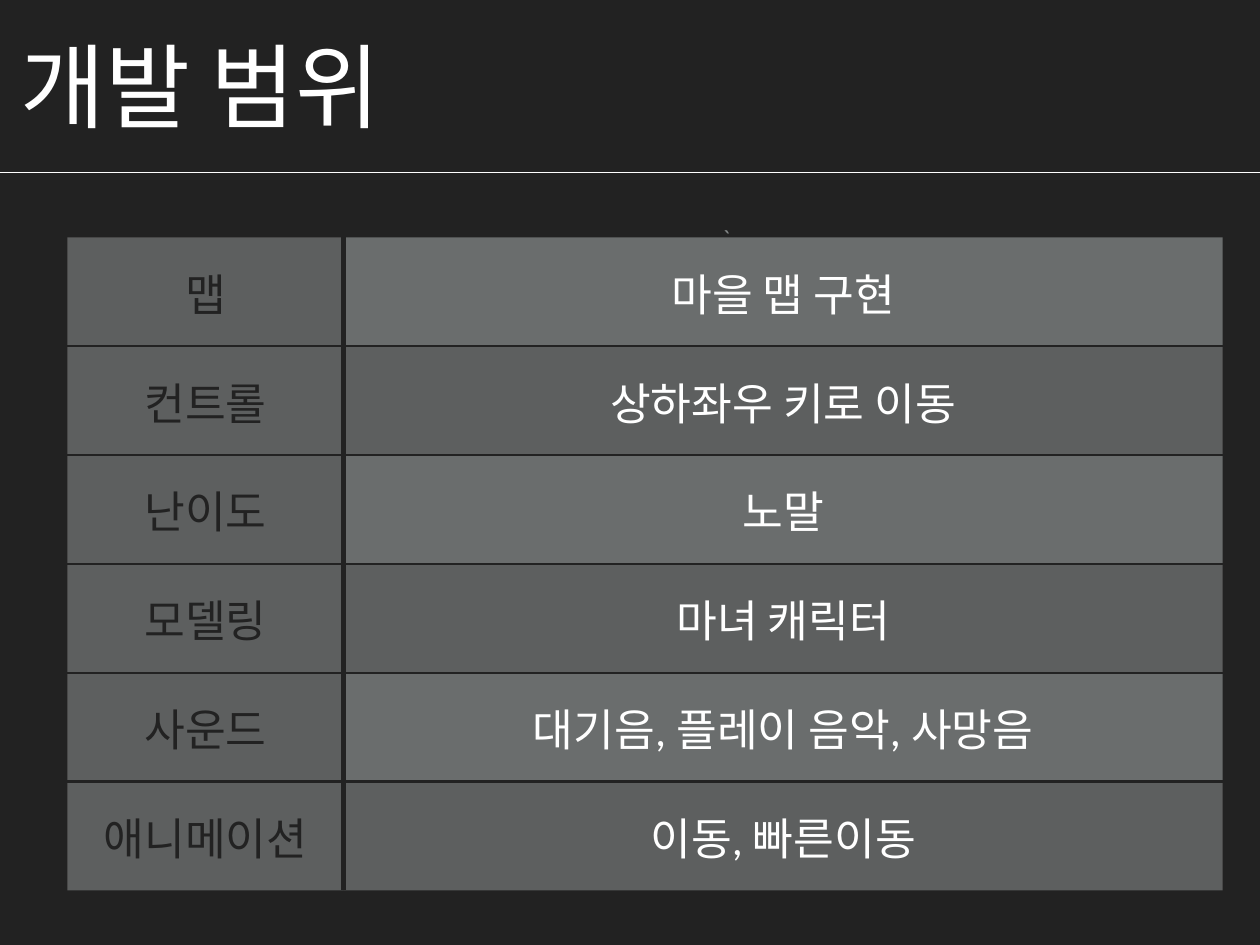
from lxml.etree import SubElement
from pptx import Presentation
from pptx.dml.color import RGBColor
from pptx.enum.shapes import MSO_CONNECTOR
from pptx.enum.text import MSO_ANCHOR, MSO_AUTO_SIZE, PP_ALIGN
from pptx.oxml.ns import qn
from pptx.util import Cm, Pt

TITLE = "개발 범위"
STRAY_MARK = "`"
SCOPE = [
    ("맵", "마을 맵 구현"),
    ("컨트롤", "상하좌우 키로 이동"),
    ("난이도", "노말"),
    ("모델링", "마녀 캐릭터"),
    ("사운드", "대기음, 플레이 음악, 사망음"),
    ("애니메이션", "이동, 빠른이동"),
]

DARK, WHITE, GREY = "222222", "FFFFFF", "838787"
PLAIN_FILL = ("686A6A", 85)
LIGHT_FILL = (GREY, 75)
KOREAN, LATIN = "Noto Sans CJK KR", "Calibri"

SLIDE_WIDTH, SLIDE_HEIGHT = 36.12, 27.1
COLUMN_WIDTHS = (7.92, 25.2)
ROW_HEIGHT = 3.12
INSET = Cm(0.15)
NO_STYLE_NO_GRID = "{2D5ABB26-0587-4C30-8999-92F81FD0307C}"


def color(hex_code):
    return RGBColor.from_string(hex_code)


def write(frame, text, size, font, hex_code, align=PP_ALIGN.LEFT):
    frame.text = text
    paragraph = frame.paragraphs[0]
    paragraph.alignment = align
    paragraph.space_before = Pt(24)
    run = paragraph.runs[0]
    run.font.size = Pt(size)
    run.font.name = font
    run.font.color.rgb = color(hex_code)
    SubElement(run.font._element, qn("a:ea")).set("typeface", KOREAN)


def set_insets(holder):
    holder.margin_left = holder.margin_right = INSET
    holder.margin_top = holder.margin_bottom = INSET
    holder.vertical_anchor = MSO_ANCHOR.MIDDLE


def add_text(slide, box, text, size, font, hex_code, wrap):
    frame = slide.shapes.add_textbox(*map(Cm, box)).text_frame
    write(frame, text, size, font, hex_code)
    set_insets(frame)
    frame.word_wrap = wrap
    frame.auto_size = MSO_AUTO_SIZE.SHAPE_TO_FIT_TEXT


def fill_cell(cell, hex_code, opacity):
    cell.fill.solid()
    cell.fill.fore_color.rgb = color(hex_code)
    tint = cell._tc.tcPr.find(".//" + qn("a:srgbClr"))
    SubElement(tint, qn("a:alpha")).set("val", str(opacity * 1000))


def add_borders(cell, borders):
    """Draw dark borders, given as (side, points) in the order L, R, T, B."""
    properties = cell._tc.tcPr
    for position, (side, points) in enumerate(borders):
        line = SubElement(properties, qn("a:ln" + side))
        line.set("w", str(Pt(points)))
        solid = SubElement(line, qn("a:solidFill"))
        SubElement(solid, qn("a:srgbClr")).set("val", DARK)
        properties.insert(position, line)


def add_scope_table(slide):
    table = slide.shapes.add_table(
        len(SCOPE), len(COLUMN_WIDTHS), Cm(1.93), Cm(6.81),
        Cm(sum(COLUMN_WIDTHS)), Cm(ROW_HEIGHT * len(SCOPE))).table
    table.first_row = table.horz_banding = False
    table._tbl.tblPr.find(qn("a:tableStyleId")).text = NO_STYLE_NO_GRID
    for column, width in zip(table.columns, COLUMN_WIDTHS):
        column.width = Cm(width)
    last_row = len(SCOPE) - 1
    for row, entry in enumerate(SCOPE):
        table.rows[row].height = Cm(ROW_HEIGHT)
        for column, text in enumerate(entry):
            cell = table.cell(row, column)
            is_label = column == 0
            write(cell.text_frame, text, 36, LATIN,
                  DARK if is_label else WHITE, PP_ALIGN.CENTER)
            set_insets(cell)
            fill_cell(cell, *(PLAIN_FILL if is_label or row % 2 else LIGHT_FILL))
            borders = [("R", 5) if is_label else ("L", 5)]
            if row > 0:
                borders.append(("T", 2))
            if row < last_row:
                borders.append(("B", 2))
            add_borders(cell, borders)


def main():
    deck = Presentation()
    deck.slide_width, deck.slide_height = Cm(SLIDE_WIDTH), Cm(SLIDE_HEIGHT)
    slide = deck.slides.add_slide(deck.slide_layouts[6])
    slide.background.fill.solid()
    slide.background.fill.fore_color.rgb = color(DARK)

    rule = slide.shapes.add_connector(
        MSO_CONNECTOR.STRAIGHT, Cm(-0.08), Cm(4.95), Cm(SLIDE_WIDTH + 0.08), Cm(4.95))
    rule.line.color.rgb = color(WHITE)
    rule.line.width = Pt(1)
    SubElement(rule._element.spPr, qn("a:effectLst"))

    add_text(slide, (20.57, 6.2, 0.48, 1.24), STRAY_MARK, 20, LATIN, GREY, wrap=False)
    add_text(slide, (0.43, 0.76, 13.23, 3.33), TITLE, 75, KOREAN, WHITE, wrap=True)
    add_scope_table(slide)
    deck.save("out.pptx")


if __name__ == "__main__":
    main()
